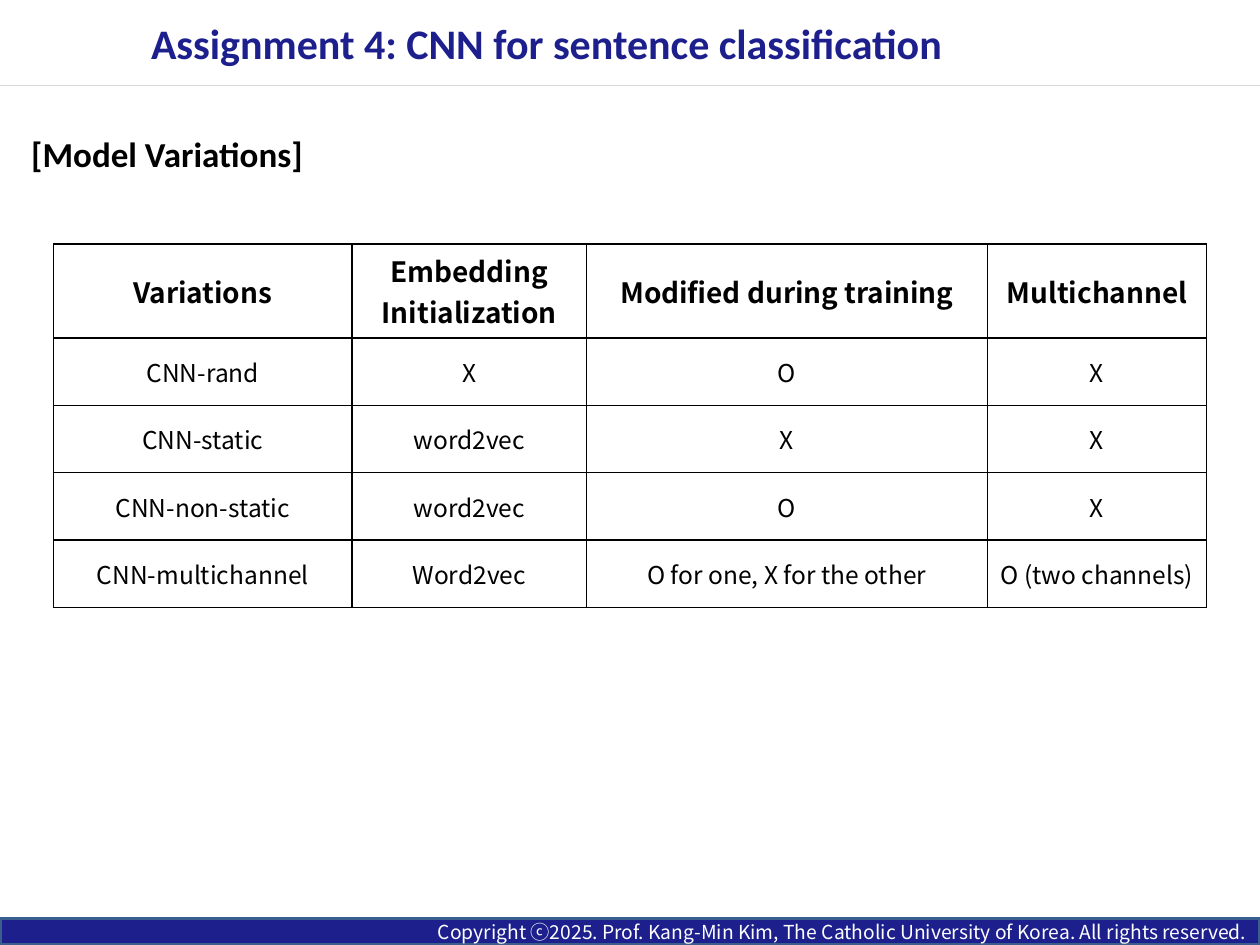
import pptx
import pptx.util
import pptx.dml.color
import pptx.enum.shapes
import pptx.enum.text
import pptx.oxml
import pptx.oxml.ns
from lxml import etree

Cm, Pt = pptx.util.Cm, pptx.util.Pt
RGBColor = pptx.dml.color.RGBColor
ALIGN = pptx.enum.text.PP_ALIGN
MIDDLE = pptx.enum.text.MSO_ANCHOR.MIDDLE
TOP = pptx.enum.text.MSO_ANCHOR.TOP
qn = pptx.oxml.ns.qn

# Content
TITLE = "Assignment 4: CNN for sentence classification"
HEADING = "[Model Variations]"
FOOTER = ("Copyright ⓒ2025. Prof. Kang-Min Kim, The Catholic University of Korea. "
          "All rights reserved.")
ROWS = [
    ("Variations", "Embedding\nInitialization", "Modified during training", "Multichannel"),
    ("CNN-rand", "X", "O", "X"),
    ("CNN-static", "word2vec", "X", "X"),
    ("CNN-non-static", "word2vec", "O", "X"),
    ("CNN-multichannel", "Word2vec", "O for one, X for the other", "O (two channels)"),
]
COL_WIDTHS = (6.02, 4.72, 8.09, 4.41)
HEADER_HEIGHT, ROW_HEIGHT = 1.89, 1.36  # header holds two lines

# Formats
NAVY = RGBColor(0x1C, 0x1F, 0x8C)
STEEL = RGBColor(0x3A, 0x5F, 0x8C)
GREY = RGBColor(0xD9, 0xD9, 0xD9)
BLACK = RGBColor(0, 0, 0)
WHITE = RGBColor(0xFF, 0xFF, 0xFF)
LATIN, CJK = "Calibri", "Noto Sans CJK KR"
TITLE_FONT = {"name": LATIN, "size": Pt(24), "bold": True, "color": NAVY}
HEADING_FONT = {"name": LATIN, "size": Pt(20), "bold": True, "color": BLACK}
HEADER_FONT = {"name": CJK, "size": Pt(16), "bold": True, "color": BLACK}
BODY_FONT = {"name": CJK, "size": Pt(14), "bold": False, "color": BLACK}
FOOTER_FONT = {"name": CJK, "size": Pt(11), "bold": False, "color": WHITE}


def write(tf, text, fmt, align, anchor=MIDDLE):
    tf.word_wrap = True
    tf.vertical_anchor = anchor
    p = tf.paragraphs[0]
    p.text = text
    p.alignment = align
    for r in p.runs:
        for key, value in fmt.items():
            if key == "color":
                r.font.color.rgb = value
            else:
                setattr(r.font, key, value)
        ea = etree.SubElement(r.font._element, qn("a:ea"))
        ea.set("typeface", fmt["name"])


def place(sp, left, top, width, height):
    sp.left, sp.top, sp.width, sp.height = Cm(left), Cm(top), Cm(width), Cm(height)


def border(cell):
    tcPr = cell._tc.get_or_add_tcPr()
    for i, side in enumerate(("lnL", "lnR", "lnT", "lnB")):
        ln = etree.Element(qn("a:" + side), w=str(Pt(1)))
        fill = etree.SubElement(ln, qn("a:solidFill"))
        etree.SubElement(fill, qn("a:srgbClr"), val=str(BLACK))
        tcPr.insert(i, ln)


prs = pptx.Presentation()
prs.slide_width, prs.slide_height = Cm(25.4), Cm(19.05)
s = prs.slides.add_slide(prs.slide_layouts[5])

# Title and the rule below it
title = s.shapes.title
place(title, 2.79, 0, 22.61, 1.73)
write(title.text_frame, TITLE, TITLE_FONT, ALIGN.LEFT)

rule = s.shapes.add_connector(pptx.enum.shapes.MSO_CONNECTOR.STRAIGHT,
                              0, Cm(1.73), prs.slide_width, Cm(1.73))
rule.line.color.rgb = GREY
rule.line.width = Pt(0.75)
etree.SubElement(rule._element.spPr, qn("a:effectLst"))

# Section heading
heading = s.shapes.add_textbox(Cm(0.38), Cm(2.54), Cm(22.12), Cm(12.12))
write(heading.text_frame, HEADING, HEADING_FONT, ALIGN.LEFT, TOP)

# Table of variations
table_height = HEADER_HEIGHT + ROW_HEIGHT * (len(ROWS) - 1)
table = s.shapes.add_table(len(ROWS), len(COL_WIDTHS), Cm(1.08), Cm(4.92),
                           Cm(sum(COL_WIDTHS)), Cm(table_height)).table
for col, width in zip(table.columns, COL_WIDTHS):
    col.width = Cm(width)
for i, row in enumerate(ROWS):
    table.rows[i].height = Cm(ROW_HEIGHT if i else HEADER_HEIGHT)
    for j, text in enumerate(row):
        cell = table.cell(i, j)
        cell.fill.background()
        cell.vertical_anchor = MIDDLE
        write(cell.text_frame, text, BODY_FONT if i else HEADER_FONT, ALIGN.CENTER)
        border(cell)

# Copyright bar
bar = s.shapes.add_shape(pptx.enum.shapes.MSO_SHAPE.RECTANGLE,
                         0, Cm(18.52), prs.slide_width, Cm(0.53))
bar.shadow.inherit = False
bar.fill.solid()
bar.fill.fore_color.rgb = NAVY
bar.line.color.rgb = STEEL
bar.line.width = Pt(2)
write(bar.text_frame, FOOTER, FOOTER_FONT, ALIGN.RIGHT)

prs.save("out.pptx")
